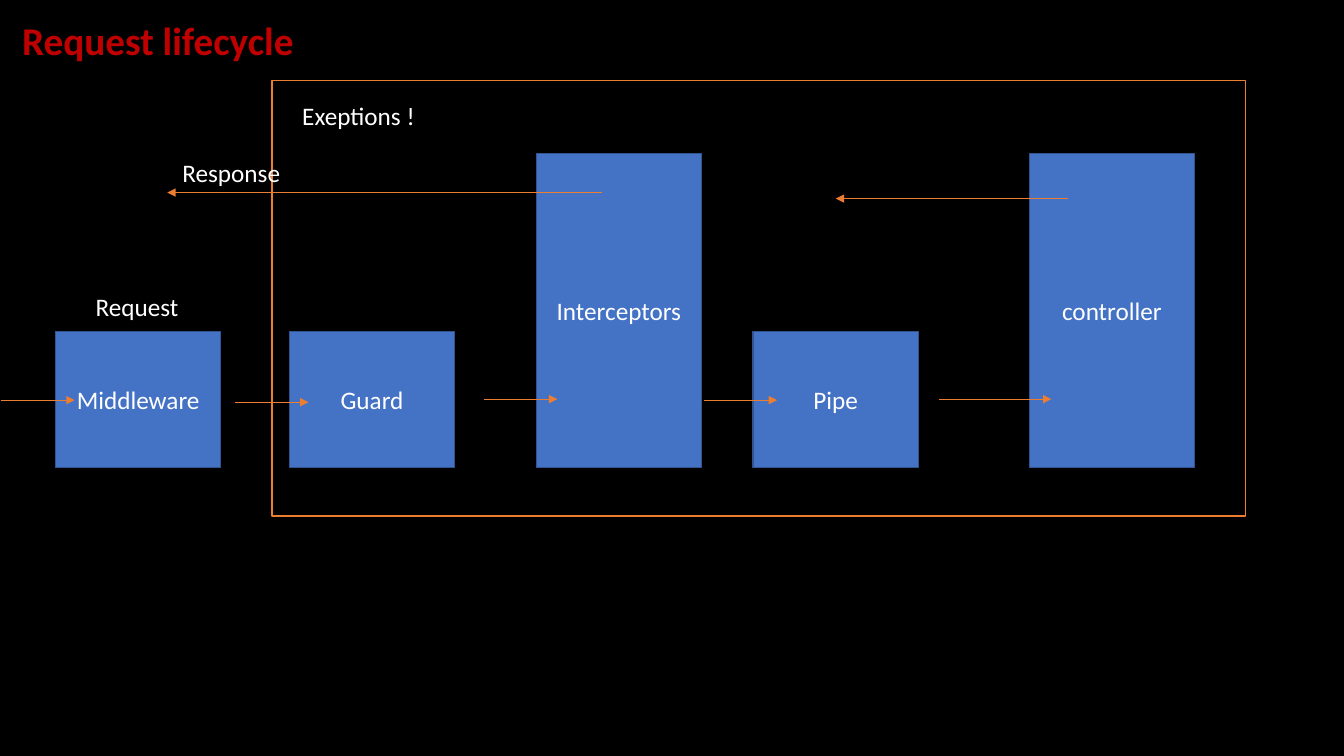
from dataclasses import dataclass

import lxml.etree
import pptx
import pptx.dml.color
import pptx.enum.shapes
import pptx.enum.text
import pptx.oxml.ns
import pptx.shapes.autoshape
import pptx.slide
import pptx.text.text
import pptx.util

COLORS = {
    "background": "000000",
    "heading": "C00000",
    "stage": "4472C4",
    "stage_edge": "325491",
    "flow": "ED7D31",
    "text": "FFFFFF",
}
WIDTH = pptx.util.Inches(13.33)
HEIGHT = pptx.util.Inches(7.5)
STAGE_WIDTH = 12.3
STAGE_BOTTOM = 61.87
SHORT_STAGE = 18
TALL_STAGE = 41.6
SHORT_STEP = 5.47
LABEL_HEIGHT = 5.33

HEADING_FONT = {"name": "Calibri", "size": pptx.util.Pt(28), "bold": True}
BODY_FONT = {"name": "Calibri", "size": pptx.util.Pt(18), "bold": False}


@dataclass(frozen=True)
class Area:
    left: float
    top: float
    width: float
    height: float

    def emu(self) -> tuple[int, int, int, int]:
        return (across(self.left), down(self.top), across(self.width), down(self.height))


@dataclass(frozen=True)
class Stage:
    name: str
    left: float
    height: float


@dataclass(frozen=True)
class Flow:
    start: float
    level: float
    reach: float = SHORT_STEP


@dataclass(frozen=True)
class Label:
    text: str
    left: float
    top: float
    width: float
    wrap: bool = False


HEADING_AREA = Area(0.9, 2.13, 86.25, 63.47)
EXCEPTION_ZONE = Area(20.25, 10.67, 72.45, 57.6)

STAGES = [
    Stage("Middleware", 4.13, SHORT_STAGE),
    Stage("Guard", 21.53, SHORT_STAGE),
    Stage("Interceptors", 39.9, TALL_STAGE),
    Stage("Pipe", 56.03, SHORT_STAGE),
    Stage("controller", 76.58, TALL_STAGE),
]
FLOWS = [
    Flow(0.08, 52.93),
    Flow(17.48, 53.2),
    Flow(36, 52.8),
    Flow(52.35, 52.93),
    Flow(69.83, 52.8, 8.4),
    Flow(79.5, 26.27, -17.32),
    Flow(44.78, 25.47, -32.33),
]
LABELS = [
    Label("Request", 6.38, 37.87, 7.73),
    Label("Response", 12.83, 20.13, 8.85),
    Label("Exeptions !", 21.75, 12.67, 14.93, True),
]


def across(share: float) -> int:
    return round(WIDTH * share / 100)


def down(share: float) -> int:
    return round(HEIGHT * share / 100)


def color(name: str) -> pptx.dml.color.RGBColor:
    return pptx.dml.color.RGBColor.from_string(COLORS[name])


def apply(target: object, values: dict) -> None:
    for attribute, value in values.items():
        setattr(target, attribute, value)


def write(frame: pptx.text.text.TextFrame, text: str, font: dict, ink: str,
          paragraph_format: dict) -> None:
    paragraph = frame.paragraphs[0]
    apply(paragraph, paragraph_format)
    run = paragraph.add_run()
    run.text = text
    apply(run.font, font)
    run.font.color.rgb = color(ink)


def draw_heading(slide: pptx.slide.Slide, text: str) -> None:
    heading = slide.shapes.title
    apply(heading, dict(zip(("left", "top", "width", "height"), HEADING_AREA.emu())))
    apply(heading.text_frame, {
        "vertical_anchor": pptx.enum.text.MSO_ANCHOR.TOP,
        "auto_size": pptx.enum.text.MSO_AUTO_SIZE.NONE,
        "word_wrap": True,
    })
    write(heading.text_frame, text, HEADING_FONT, "heading",
          {"alignment": pptx.enum.text.PP_ALIGN.LEFT, "line_spacing": 0.9})


def draw_rectangle(slide: pptx.slide.Slide, area: Area,
                   edge: str) -> pptx.shapes.autoshape.Shape:
    rectangle = slide.shapes.add_shape(
        pptx.enum.shapes.MSO_SHAPE.RECTANGLE, *area.emu())
    rectangle.shadow.inherit = False
    rectangle.line.color.rgb = color(edge)
    rectangle.line.width = pptx.util.Pt(1)
    return rectangle


def draw_stage(slide: pptx.slide.Slide, stage: Stage) -> None:
    area = Area(stage.left, STAGE_BOTTOM - stage.height, STAGE_WIDTH, stage.height)
    block = draw_rectangle(slide, area, "stage_edge")
    block.fill.solid()
    block.fill.fore_color.rgb = color("stage")
    block.text_frame.vertical_anchor = pptx.enum.text.MSO_ANCHOR.MIDDLE
    write(block.text_frame, stage.name, BODY_FONT, "text",
          {"alignment": pptx.enum.text.PP_ALIGN.CENTER})


def draw_flow(slide: pptx.slide.Slide, flow: Flow) -> None:
    level = down(flow.level)
    arrow = slide.shapes.add_connector(
        pptx.enum.shapes.MSO_CONNECTOR.STRAIGHT,
        across(flow.start), level, across(flow.start + flow.reach), level)
    arrow.line.color.rgb = color("flow")
    arrow.line.width = pptx.util.Pt(0.5)
    qualified = pptx.oxml.ns.qn
    lxml.etree.SubElement(arrow.line._get_or_add_ln(), qualified("a:tailEnd"), type="triangle")
    lxml.etree.SubElement(arrow._element.spPr, qualified("a:effectLst"))


def draw_label(slide: pptx.slide.Slide, label: Label) -> None:
    area = Area(label.left, label.top, label.width, LABEL_HEIGHT)
    caption = slide.shapes.add_textbox(*area.emu())
    apply(caption.text_frame, {
        "word_wrap": label.wrap,
        "auto_size": pptx.enum.text.MSO_AUTO_SIZE.SHAPE_TO_FIT_TEXT,
    })
    write(caption.text_frame, label.text, BODY_FONT, "text", {})


def main() -> None:
    deck = pptx.Presentation()
    apply(deck, {"slide_width": WIDTH, "slide_height": HEIGHT})
    slide = deck.slides.add_slide(deck.slide_layouts.get_by_name("Title Only"))
    slide.background.fill.solid()
    slide.background.fill.fore_color.rgb = color("background")

    draw_heading(slide, "Request lifecycle")
    for stage in STAGES:
        draw_stage(slide, stage)
    for flow in FLOWS:
        draw_flow(slide, flow)
    draw_rectangle(slide, EXCEPTION_ZONE, "flow").fill.background()
    for label in LABELS:
        draw_label(slide, label)
    deck.save("out.pptx")


if __name__ == "__main__":
    main()
